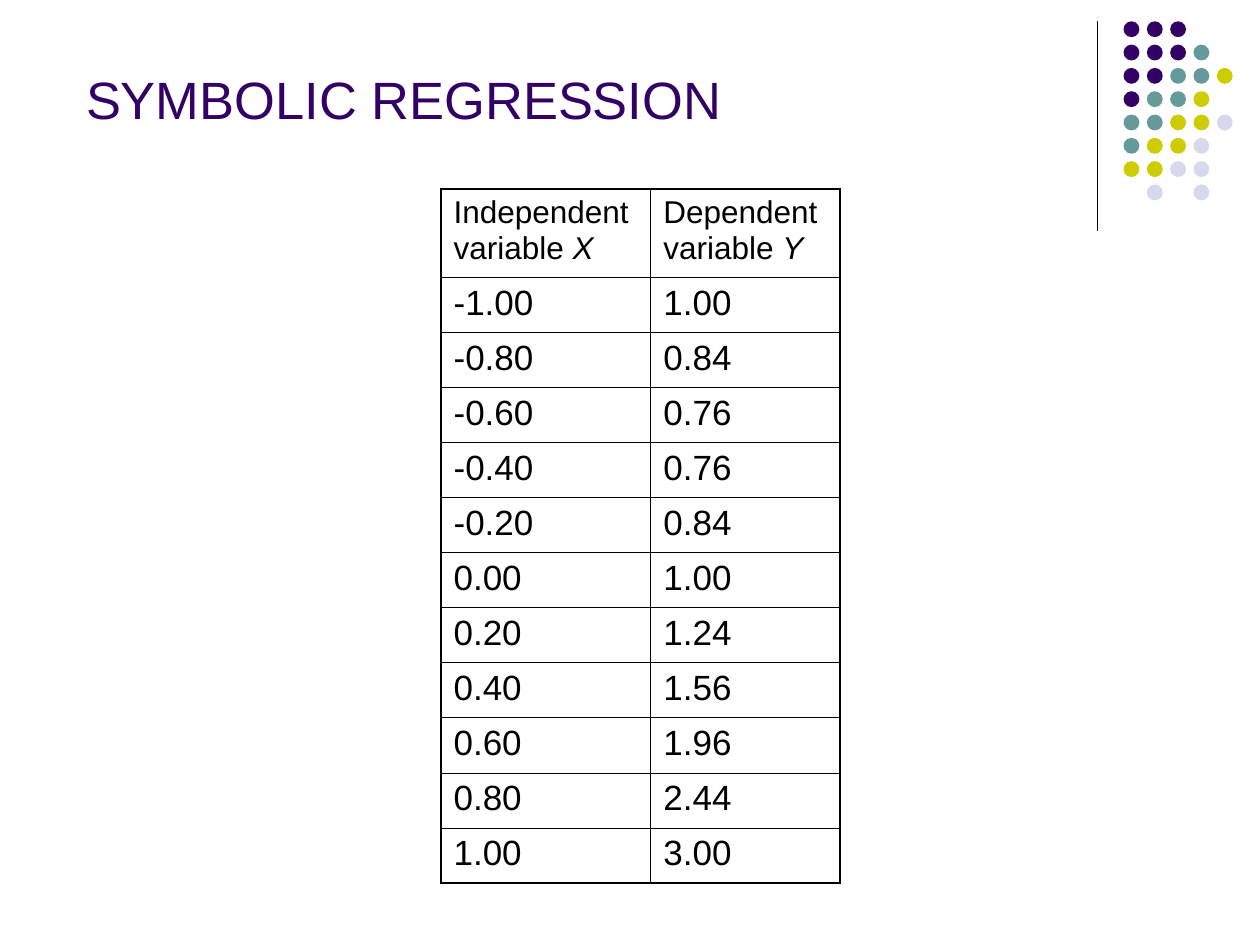
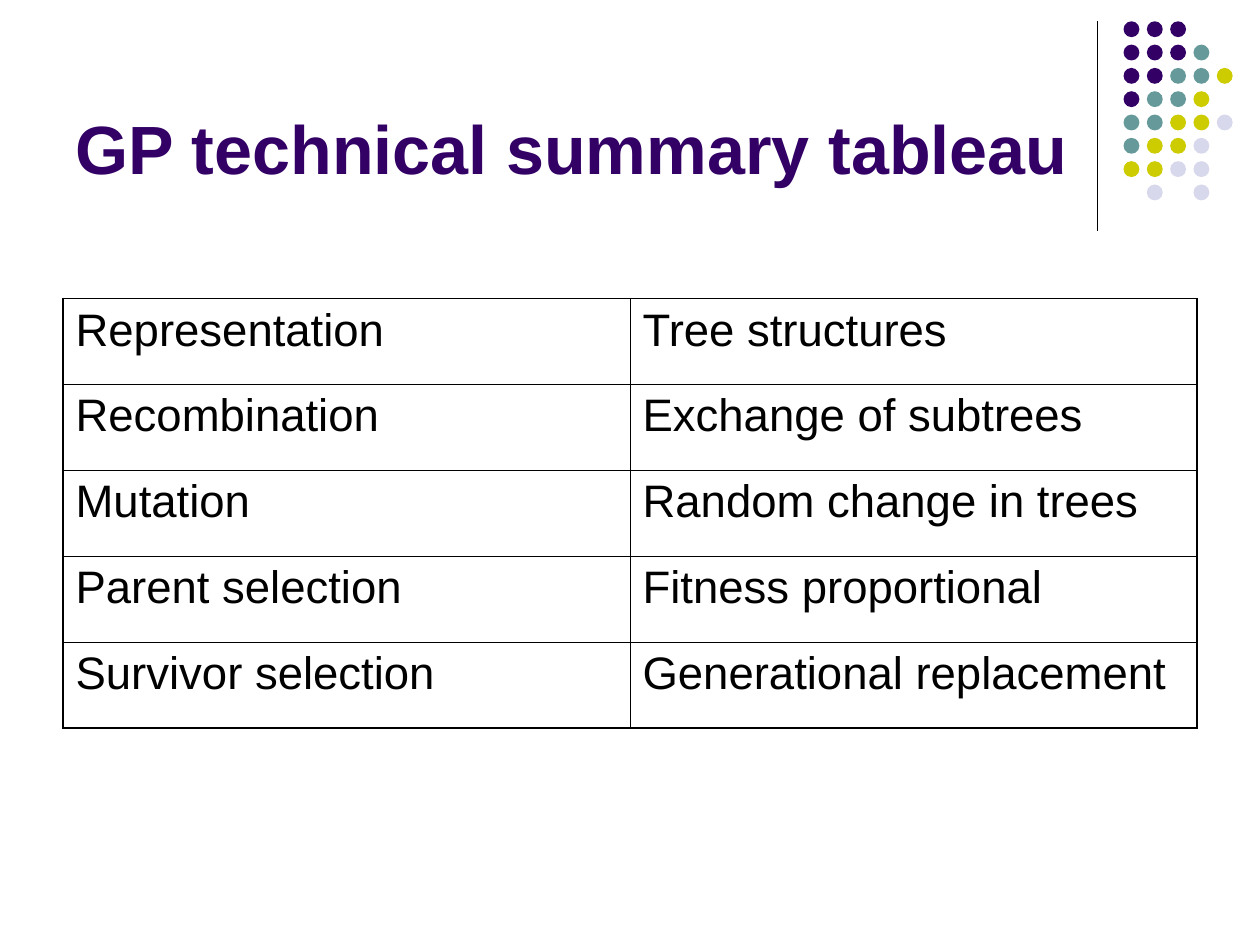
"""Build two genetic programming slides with bordered tables."""
from dataclasses import dataclass

from lxml import etree
from pptx import Presentation
from pptx import util as u
from pptx.dml.color import RGBColor
from pptx.enum import shapes, text
from pptx.oxml.ns import qn

PLUM = RGBColor(0x33, 0x00, 0x66)
TEAL = RGBColor(0x66, 0x99, 0x99)
LIME = RGBColor(0xCC, 0xCC, 0x00)
MIST = RGBColor(0xD8, 0xD8, 0xEC)
BLACK = RGBColor(0x00, 0x00, 0x00)
FONT = "Arial"
THICK, THIN = u.Pt(1.08), u.Pt(0.45)

DOTS = ("PPP", "PPPT", "PPTTL", "PTTL", "TTLLM", "TLLM", "LLMM", " M M")
TINTS = {"P": PLUM, "T": TEAL, "L": LIME, "M": MIST}
PITCH, SIZE = 0.47, 0.32


@dataclass
class Box:
    left: float
    top: float
    width: float
    height: float


@dataclass
class Title:
    words: str
    box: Box
    size: float
    bold: bool = False


@dataclass
class Grid:
    left: float
    top: float
    cols: list[float]
    rows: list[float]
    cells: list[tuple[str, str]]
    size: float
    head: float


def draw_dots(slide, layout) -> None:
    rule = slide.shapes.add_connector(
        shapes.MSO_CONNECTOR.STRAIGHT, u.Cm(22.12), u.Cm(0.43), u.Cm(22.12), u.Cm(4.65))
    rule.line.color.rgb = BLACK
    rule.line.width = u.Pt(0.75)
    etree.SubElement(rule.element.spPr, qn("a:effectLst"))
    group = slide.shapes.add_group_shape()
    for row, codes in enumerate(DOTS):
        for col, code in enumerate(codes):
            if code in TINTS:
                dot = group.shapes.add_shape(
                    shapes.MSO_SHAPE.OVAL, u.Cm(22.65 + col * PITCH),
                    u.Cm(0.43 + row * PITCH), u.Cm(SIZE), u.Cm(SIZE))
                dot.shadow.inherit = False
                dot.fill.solid()
                dot.fill.fore_color.rgb = TINTS[code]
                dot.line.fill.background()
    for item in (rule, group):
        layout.shapes.element.append(item.element)


def style(font, size: float, tint: RGBColor, bold: bool = False) -> None:
    font.name, font.size, font.bold = FONT, u.Pt(size), bold
    font.color.rgb = tint


def draw_title(slide, title: Title) -> None:
    shape, box = slide.shapes.title, title.box
    shape.left, shape.top = u.Cm(box.left), u.Cm(box.top)
    shape.width, shape.height = u.Cm(box.width), u.Cm(box.height)
    frame = shape.text_frame
    frame.text = title.words
    frame.word_wrap = True
    frame.auto_size = text.MSO_AUTO_SIZE.NONE
    frame.vertical_anchor = text.MSO_ANCHOR.BOTTOM
    para = frame.paragraphs[0]
    para.alignment = text.PP_ALIGN.LEFT
    style(para.font, title.size, PLUM, title.bold)


def add_edges(cell, outer: dict[str, bool]) -> None:
    props = cell._tc.get_or_add_tcPr()
    for side, thick in outer.items():
        line = etree.SubElement(props, qn(f"a:ln{side}"), w=str(THICK if thick else THIN))
        fill = etree.SubElement(line, qn("a:solidFill"))
        etree.SubElement(fill, qn("a:srgbClr"), val=str(BLACK))


def draw_grid(slide, grid: Grid) -> None:
    rows, cols = len(grid.rows), len(grid.cols)
    table = slide.shapes.add_table(
        rows, cols, u.Cm(grid.left), u.Cm(grid.top),
        u.Cm(sum(grid.cols)), u.Cm(sum(grid.rows))).table
    table.first_row = table.horz_banding = False
    for col, width in zip(table.columns, grid.cols):
        col.width = u.Cm(width)
    for row, height in zip(table.rows, grid.rows):
        row.height = u.Cm(height)
    for r, pair in enumerate(grid.cells):
        for c, words in enumerate(pair):
            cell = table.cell(r, c)
            add_edges(cell, {"L": c == 0, "R": c == cols - 1, "T": r == 0, "B": r == rows - 1})
            cell.fill.background()
            label, _, symbol = words.partition("|")
            para = cell.text_frame.paragraphs[0]
            para.add_run().text = label
            if symbol:
                run = para.add_run()
                run.text = symbol
                run.font.italic = True
            style(para.font, grid.size if r else grid.head, BLACK)


POINTS = [
    ("Independent variable |X", "Dependent variable |Y"),
    ("-1.00", "1.00"),
    ("-0.80", "0.84"),
    ("-0.60", "0.76"),
    ("-0.40", "0.76"),
    ("-0.20", "0.84"),
    ("0.00", "1.00"),
    ("0.20", "1.24"),
    ("0.40", "1.56"),
    ("0.60", "1.96"),
    ("0.80", "2.44"),
    ("1.00", "3.00"),
]
TRAITS = [
    ("Representation", "Tree structures"),
    ("Recombination", "Exchange of subtrees"),
    ("Mutation", "Random change in trees"),
    ("Parent selection", "Fitness proportional"),
    ("Survivor selection", "Generational replacement"),
]
PAGES = [
    (Title("SYMBOLIC REGRESSION", Box(1.48, 0.64, 21.59, 2.1), 30),
     Grid(8.89, 3.81, [4.23, 3.81], [1.78] + [1.11] * 11, POINTS, 20, 18)),
    (Title("GP technical summary tableau", Box(1.27, 0.33, 20.96, 3.6), 39, True),
     Grid(1.27, 6.02, [11.43] * 2, [1.73] * 5, TRAITS, 26, 26)),
]


def main() -> None:
    deck = Presentation()
    deck.slide_width, deck.slide_height = u.Cm(25.4), u.Cm(19.05)
    layout = deck.slide_layouts.get_by_name("Title Only")
    for holder in list(layout.placeholders)[1:]:
        layout.shapes.element.remove(holder.element)
    for number, (title, grid) in enumerate(PAGES):
        slide = deck.slides.add_slide(layout)
        if number == 0:
            draw_dots(slide, layout)
        draw_title(slide, title)
        draw_grid(slide, grid)
    deck.save("out.pptx")


if __name__ == "__main__":
    main()
